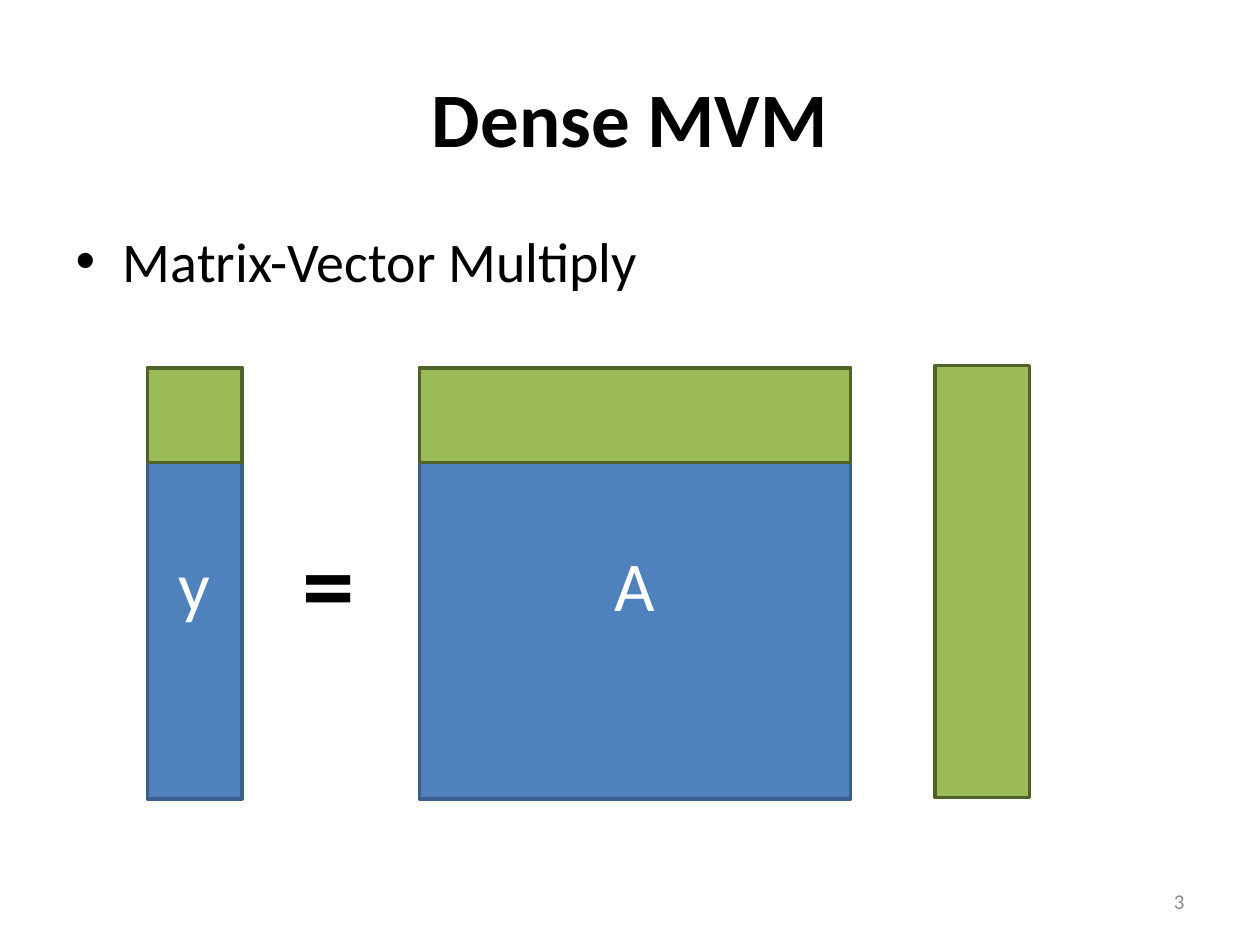
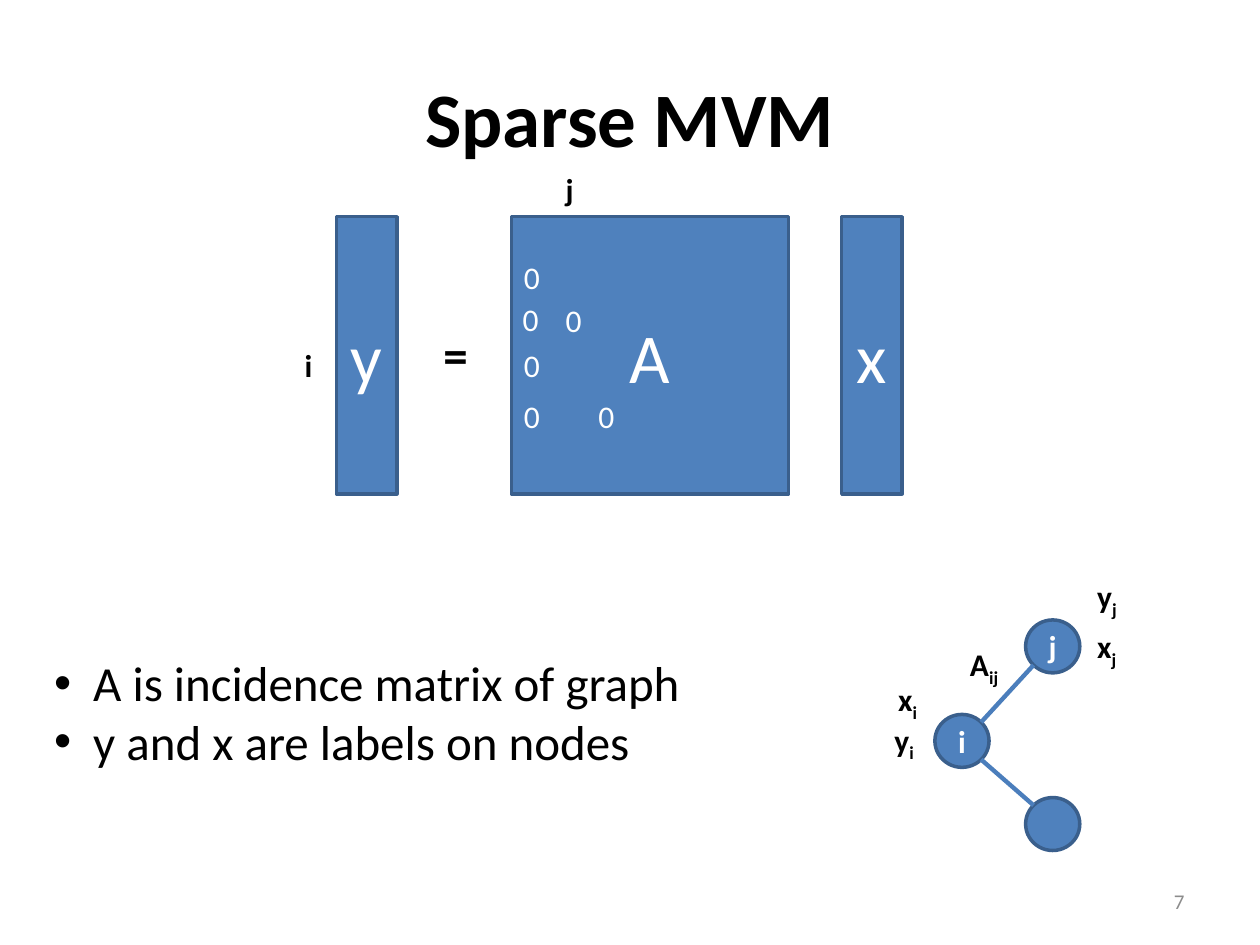
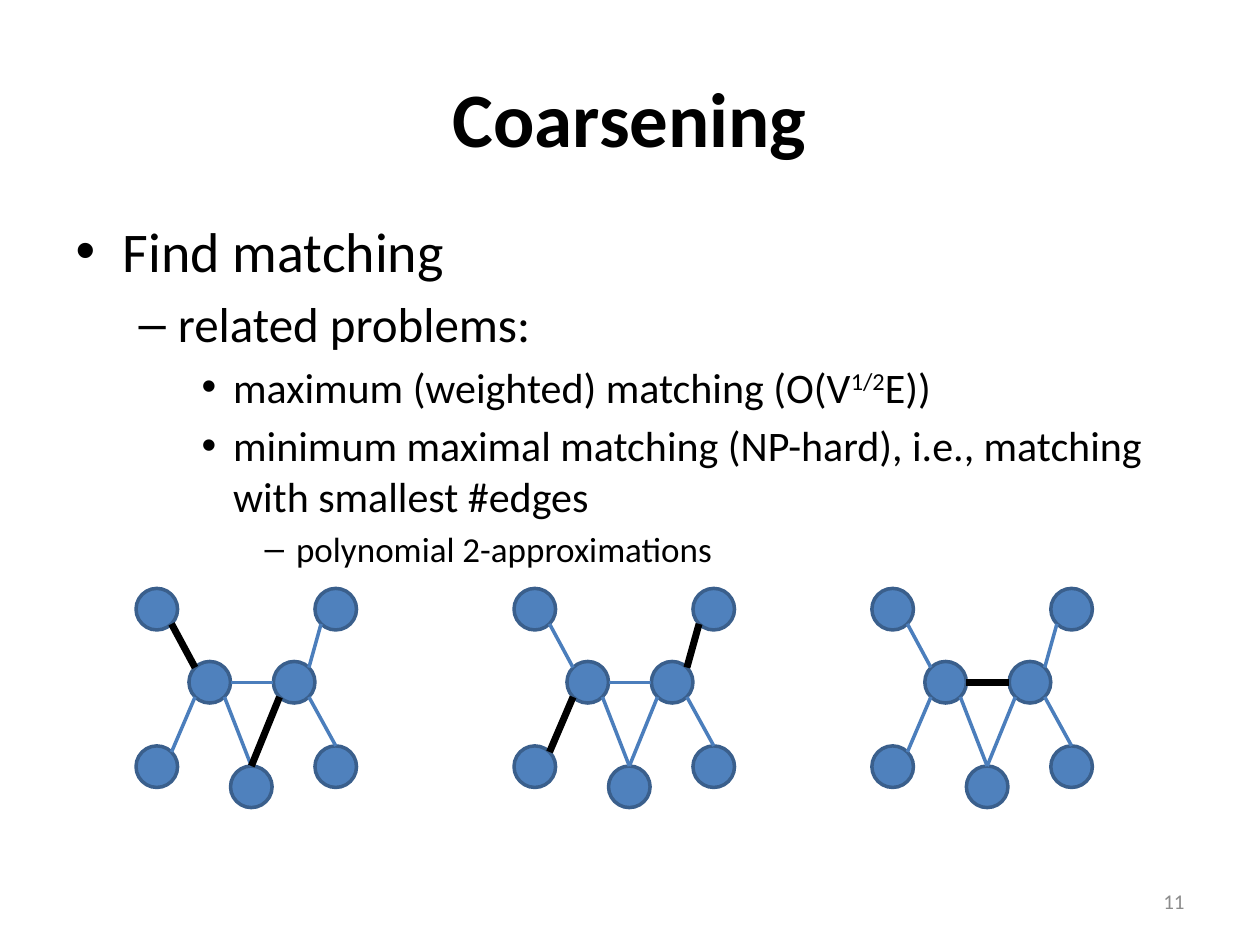
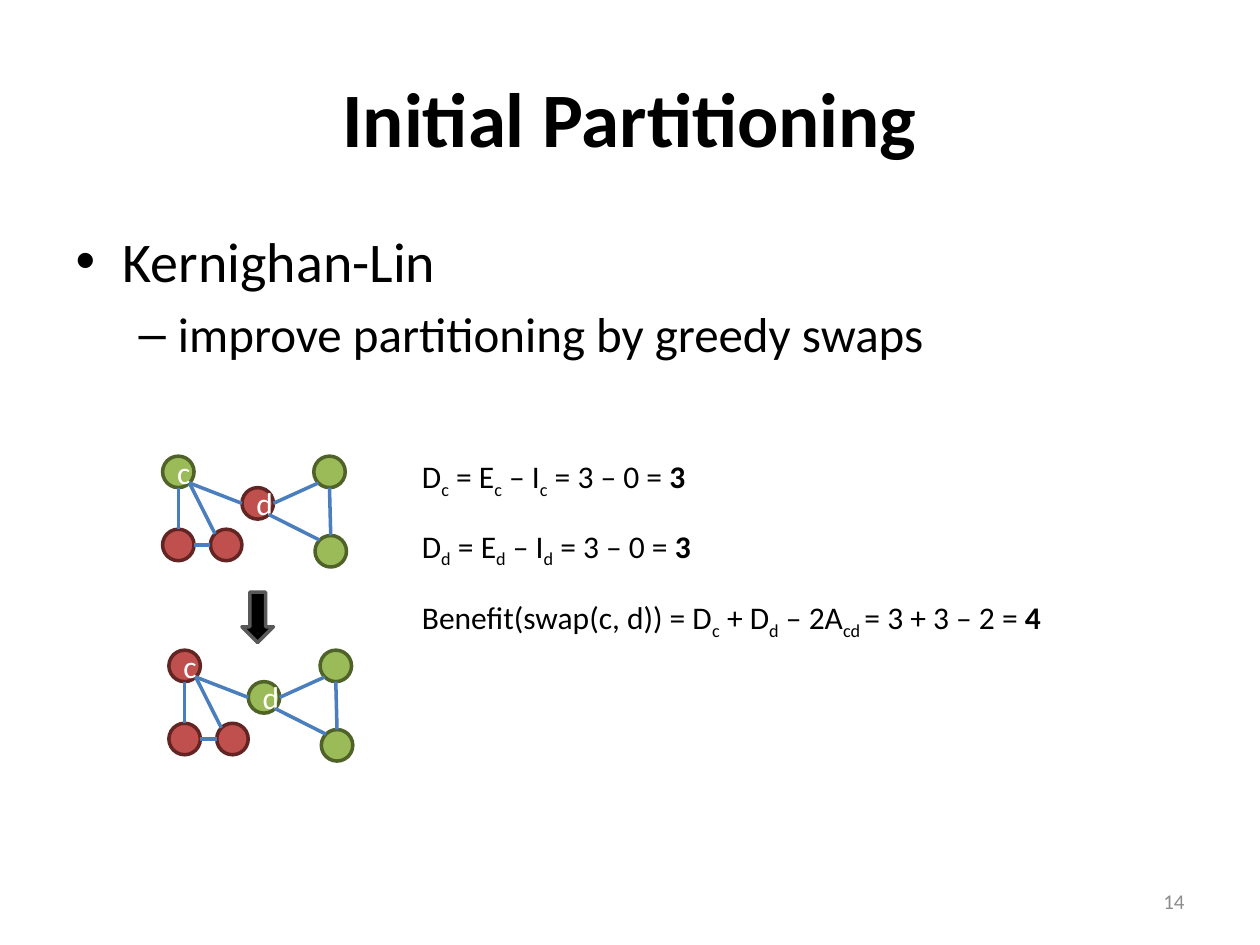
import dataclasses
import math
import typing

import lxml.etree
import pptx
import pptx.dml.color
import pptx.enum.shapes
import pptx.enum.text
import pptx.oxml.ns
import pptx.presentation
import pptx.shapes.base
import pptx.slide
import pptx.text.text
import pptx.util

Inches = pptx.util.Inches
RGBColor = pptx.dml.color.RGBColor
Align = pptx.enum.text.PP_ALIGN
Anchor = pptx.enum.text.MSO_ANCHOR
Shape = pptx.enum.shapes.MSO_SHAPE

FONT = "Calibri"
BLACK = RGBColor(0x00, 0x00, 0x00)
WHITE = RGBColor(0xFF, 0xFF, 0xFF)
GREY = RGBColor(0x8C, 0x8C, 0x8C)
EDGE_BLUE = RGBColor(0x4B, 0x7E, 0xBC)

LEVEL_SIZES = (32, 28, 24, 20)
SUBSCRIPT = -25
SUPERSCRIPT = 30
COMPASS = {"E": 0, "SE": 45, "S": 90, "SW": 135, "W": 180, "NW": 225, "N": 270, "NE": 315}


@dataclasses.dataclass(frozen=True)
class Paint:
    fill: RGBColor
    line: RGBColor


BLUE = Paint(RGBColor(0x4F, 0x81, 0xBD), RGBColor(0x3A, 0x5F, 0x8C))
GREEN = Paint(RGBColor(0x9B, 0xBB, 0x59), RGBColor(0x4F, 0x62, 0x28))
RED = Paint(RGBColor(0xC0, 0x50, 0x4D), RGBColor(0x63, 0x25, 0x23))
DARK = Paint(BLACK, RGBColor(0x59, 0x59, 0x59))


@dataclasses.dataclass(frozen=True)
class Span:
    text: str
    baseline: int = 0
    bold: bool = False


@dataclasses.dataclass(frozen=True)
class Style:
    size: float
    color: RGBColor = BLACK
    bold: bool = False


@dataclasses.dataclass(frozen=True)
class Area:
    left: float
    top: float
    width: float
    height: float

    def lengths(self) -> tuple[int, int, int, int]:
        return Inches(self.left), Inches(self.top), Inches(self.width), Inches(self.height)


@dataclasses.dataclass(frozen=True)
class Item:
    level: int
    spans: tuple[Span, ...]


@dataclasses.dataclass(frozen=True)
class Node:
    left: float
    top: float
    paint: Paint = BLUE
    label: str = ""


@dataclasses.dataclass(frozen=True)
class Edge:
    start: str
    start_side: str
    end: str
    end_side: str


@dataclasses.dataclass(frozen=True)
class Graph:
    nodes: dict[str, Node]
    edges: tuple[Edge, ...]
    width: float
    height: float
    label_style: Style
    edge_weight: float = 2


BODY = Area(0.5, 1.75, 9, 4.95)
PAGE_NUMBER = Area(7.17, 6.95, 2.33, 0.4)
LETTER = Style(40, WHITE)
SMALL = Style(18)
SMALL_BOLD = Style(18, bold=True)

MATCHING_GRAPH = Graph(
    {
        "left hub": Node(0.42, 0.58),
        "right hub": Node(1.09, 0.58),
        "lower right": Node(1.42, 1.25),
        "upper right": Node(1.42, 0),
        "upper left": Node(0, 0),
        "lower left": Node(0, 1.25),
        "bottom": Node(0.75, 1.41),
    },
    (
        Edge("upper left", "SE", "left hub", "NW"),
        Edge("lower left", "NE", "left hub", "SW"),
        Edge("right hub", "W", "left hub", "E"),
        Edge("upper right", "SW", "right hub", "NE"),
        Edge("right hub", "SE", "lower right", "N"),
        Edge("bottom", "N", "left hub", "SE"),
        Edge("right hub", "SW", "bottom", "N"),
    ),
    0.33, 0.33, SMALL,
)

INCIDENCE_GRAPH = Graph(
    {"i": Node(0, 0.75, label="i"), "j": Node(0.72, 0, label="j"), "other": Node(0.72, 1.41)},
    (Edge("i", "NE", "j", "SW"), Edge("i", "SE", "other", "NW")),
    0.43, 0.42, Style(18, WHITE, True), 2.5,
)


def partition_graph(c_paint: Paint, d_paint: Paint) -> Graph:
    return Graph(
        {
            "c": Node(0, 0, c_paint, "c"),
            "lower left": Node(0, 0.58, RED),
            "lower middle": Node(0.38, 0.58, RED),
            "lower right": Node(1.21, 0.63, GREEN),
            "d": Node(0.63, 0.25, d_paint, "d"),
            "upper right": Node(1.2, 0, GREEN),
        },
        (
            Edge("c", "S", "lower left", "N"),
            Edge("c", "SE", "d", "W"),
            Edge("c", "SE", "lower middle", "NW"),
            Edge("lower left", "E", "lower middle", "W"),
            Edge("d", "E", "upper right", "SW"),
            Edge("d", "SE", "lower right", "NW"),
            Edge("upper right", "S", "lower right", "N"),
        ),
        0.25, 0.25, Style(18, WHITE),
    )


def sub(text: str) -> Span:
    return Span(text, SUBSCRIPT)


def write(para: typing.Any, spans: typing.Iterable[Span], style: Style) -> None:
    for span in spans:
        run = para.add_run()
        run.text = span.text
        run.font.name = FONT
        run.font.size = pptx.util.Pt(style.size)
        run.font.bold = style.bold or span.bold
        run.font.color.rgb = style.color
        if span.baseline:
            run._r.get_or_add_rPr().set("baseline", str(span.baseline * 1000))


def place(shape: typing.Any, area: Area) -> None:
    shape.left, shape.top, shape.width, shape.height = area.lengths()


def add_page(deck: pptx.presentation.Presentation, title: str, number: int,
             items: typing.Sequence[Item], area: Area = BODY) -> pptx.slide.Slide:
    page = deck.slides.add_slide(deck.slide_layouts[1])
    place(page.shapes.title, Area(0.5, 0.3, 9, 1.25))
    write(page.shapes.title.text_frame.paragraphs[0], [Span(title)], Style(44, bold=True))

    body = page.placeholders[1]
    place(body, area)
    frame = body.text_frame
    frame.auto_size = pptx.enum.text.MSO_AUTO_SIZE.NONE
    for index, item in enumerate(items):
        para = frame.add_paragraph() if index else frame.paragraphs[0]
        para.level = item.level
        write(para, item.spans, Style(LEVEL_SIZES[item.level]))

    box = page.shapes.add_textbox(*PAGE_NUMBER.lengths())
    box.text_frame.word_wrap = True
    box.text_frame.vertical_anchor = Anchor.MIDDLE
    para = box.text_frame.paragraphs[0]
    para.alignment = Align.RIGHT
    write(para, [Span(str(number))], Style(12, GREY))
    return page


def add_label(page: pptx.slide.Slide, area: Area, spans: typing.Iterable[Span],
              style: Style) -> None:
    box = page.shapes.add_textbox(*area.lengths())
    box.text_frame.word_wrap = False
    box.text_frame.auto_size = pptx.enum.text.MSO_AUTO_SIZE.SHAPE_TO_FIT_TEXT
    write(box.text_frame.paragraphs[0], spans, style)


def add_block(page: pptx.slide.Slide, area: Area, paint: Paint, label: str = "",
              style: Style = LETTER, kind: Shape = Shape.RECTANGLE) -> None:
    block = page.shapes.add_shape(kind, *area.lengths())
    block.shadow.inherit = False
    block.fill.solid()
    block.fill.fore_color.rgb = paint.fill
    block.line.color.rgb = paint.line
    block.line.width = pptx.util.Pt(2)
    if label:
        block.text_frame.vertical_anchor = Anchor.MIDDLE
        para = block.text_frame.paragraphs[0]
        para.alignment = Align.CENTER
        write(para, [Span(label)], style)


def add_graph(page: pptx.slide.Slide, graph: Graph, left: float, top: float,
              matched: typing.Collection[tuple[str, str]] = ()) -> None:
    def rim(name: str, side: str) -> tuple[int, int]:
        node, angle = graph.nodes[name], math.radians(COMPASS[side])
        x = left + node.left + graph.width / 2 * (1 + math.cos(angle))
        y = top + node.top + graph.height / 2 * (1 + math.sin(angle))
        return Inches(x), Inches(y)

    for node in graph.nodes.values():
        area = Area(left + node.left, top + node.top, graph.width, graph.height)
        add_block(page, area, node.paint, node.label, graph.label_style, Shape.OVAL)
    for edge in graph.edges:
        line = page.shapes.add_connector(
            pptx.enum.shapes.MSO_CONNECTOR.STRAIGHT,
            *rim(edge.start, edge.start_side), *rim(edge.end, edge.end_side))
        chosen = (edge.start, edge.end) in matched
        line.line.color.rgb = BLACK if chosen else EDGE_BLUE
        line.line.width = pptx.util.Pt(4 if chosen else graph.edge_weight)
        lxml.etree.SubElement(line._element.spPr, pptx.oxml.ns.qn("a:effectLst"))


def build_dense(deck: pptx.presentation.Presentation) -> None:
    page = add_page(deck, "Dense MVM", 3, [Item(0, (Span("Matrix-Vector Multiply"),))])
    columns = ((1.17, 0.75, "y"), (3.33, 3.42, "A"))
    for left, width, letter in columns:
        add_block(page, Area(left, 2.92, width, 3.42), BLUE, letter)
    add_label(page, Area(2.3, 4.06, 0.62, 1.11), [Span("=")], Style(60, bold=True))
    for left, width, _ in columns:
        add_block(page, Area(left, 2.92, width, 0.75), GREEN)
    add_block(page, Area(7.42, 2.9, 0.75, 3.43), GREEN)


def build_sparse(deck: pptx.presentation.Presentation) -> None:
    items = [Item(0, (Span("A is incidence matrix of graph"),)),
             Item(0, (Span("y and x are labels on nodes"),))]
    page = add_page(deck, "Sparse MVM", 7, [], Area(0.33, 5.13, 5.22, 1.04))
    frame = page.placeholders[1].text_frame
    frame.word_wrap = False
    for index, item in enumerate(items):
        para = frame.add_paragraph() if index else frame.paragraphs[0]
        para.space_before = pptx.util.Pt(0)
        properties = para._p.get_or_add_pPr()
        properties.set("marL", str(Inches(0.31)))
        properties.set("indent", str(-Inches(0.31)))
        write(para, item.spans, Style(28))

    for left, width, letter in ((2.67, 0.48, "y"), (6.68, 0.48, "x"), (4.06, 2.2, "A")):
        add_block(page, Area(left, 1.72, width, 2.2), BLUE, letter)
    add_label(page, Area(3.42, 2.53, 0.4, 0.57), [Span("=")], Style(28, bold=True))
    zeros = ((4.06, 2), (4.05, 2.33), (4.39, 2.34), (4.06, 2.7), (4.06, 3.1), (4.65, 3.1))
    for left, top in zeros:
        add_label(page, Area(left, top, 0.33, 0.4), [Span("0")], Style(18, WHITE))

    add_graph(page, INCIDENCE_GRAPH, 7.42, 4.92)
    labels = (
        (2.32, 2.7, 0.26, "i", ""), (4.39, 1.3, 0.27, "j", ""),
        (7.6, 5.07, 0.44, "A", "ij"), (7, 5.67, 0.36, "y", "i"),
        (8.61, 4.93, 0.36, "x", "j"), (7.03, 5.35, 0.36, "x", "i"),
        (8.61, 4.53, 0.36, "y", "j"),
    )
    for left, top, width, letter, index in labels:
        spans = [Span(letter), sub(index)] if index else [Span(letter)]
        add_label(page, Area(left, top, width, 0.4), spans, SMALL_BOLD)


def build_coarsening(deck: pptx.presentation.Presentation) -> None:
    items = [
        Item(0, (Span("Find matching"),)),
        Item(1, (Span("related problems:"),)),
        Item(2, (Span("maximum (weighted) matching (O(V"), Span("1/2", SUPERSCRIPT),
                 Span("E))"))),
        Item(2, (Span("minimum maximal matching (NP-hard), i.e., matching "
                      "with smallest #edges"),)),
        Item(3, (Span("polynomial 2-approximations"),)),
    ]
    page = add_page(deck, "Coarsening", 11, items, Area(0.5, 1.67, 8.92, 2.75))
    matchings = (
        (1.08, {("upper left", "left hub"), ("right hub", "bottom")}),
        (4.08, {("lower left", "left hub"), ("upper right", "right hub")}),
        (6.92, {("right hub", "left hub")}),
    )
    for left, matched in matchings:
        add_graph(page, MATCHING_GRAPH, left, 4.67, matched)


def build_partitioning(deck: pptx.presentation.Presentation) -> None:
    items = [Item(0, (Span("Kernighan-Lin"),)),
             Item(1, (Span("improve partitioning by greedy swaps"),))]
    page = add_page(deck, "Initial Partitioning", 14, items, Area(0.5, 1.75, 9, 2.92))
    add_graph(page, partition_graph(GREEN, RED), 1.29, 3.62)
    add_graph(page, partition_graph(RED, GREEN), 1.34, 5.16)
    add_block(page, Area(1.92, 4.7, 0.25, 0.4), DARK, kind=Shape.DOWN_ARROW)

    for name, top, width in (("c", 3.58, 2.35), ("d", 4.13, 2.4)):
        gain = [Span("D"), sub(name), Span(" = E"), sub(name), Span(" – I"), sub(name),
                Span(" = 3 – 0 = "), Span("3", bold=True)]
        add_label(page, Area(3.25, top, width, 0.4), gain, SMALL)
    benefit = [Span("Benefit(swap(c, d)) = D"), sub("c"), Span(" + D"), sub("d"),
               Span(" – 2A"), sub("cd "), Span("= 3 + 3 – 2 = "), Span("4", bold=True)]
    add_label(page, Area(3.25, 4.7, 5.25, 0.4), benefit, SMALL)


def main() -> None:
    deck = pptx.Presentation()
    deck.slide_width, deck.slide_height = Inches(10), Inches(7.5)
    for build in (build_dense, build_sparse, build_coarsening, build_partitioning):
        build(deck)
    deck.save("out.pptx")


if __name__ == "__main__":
    main()
